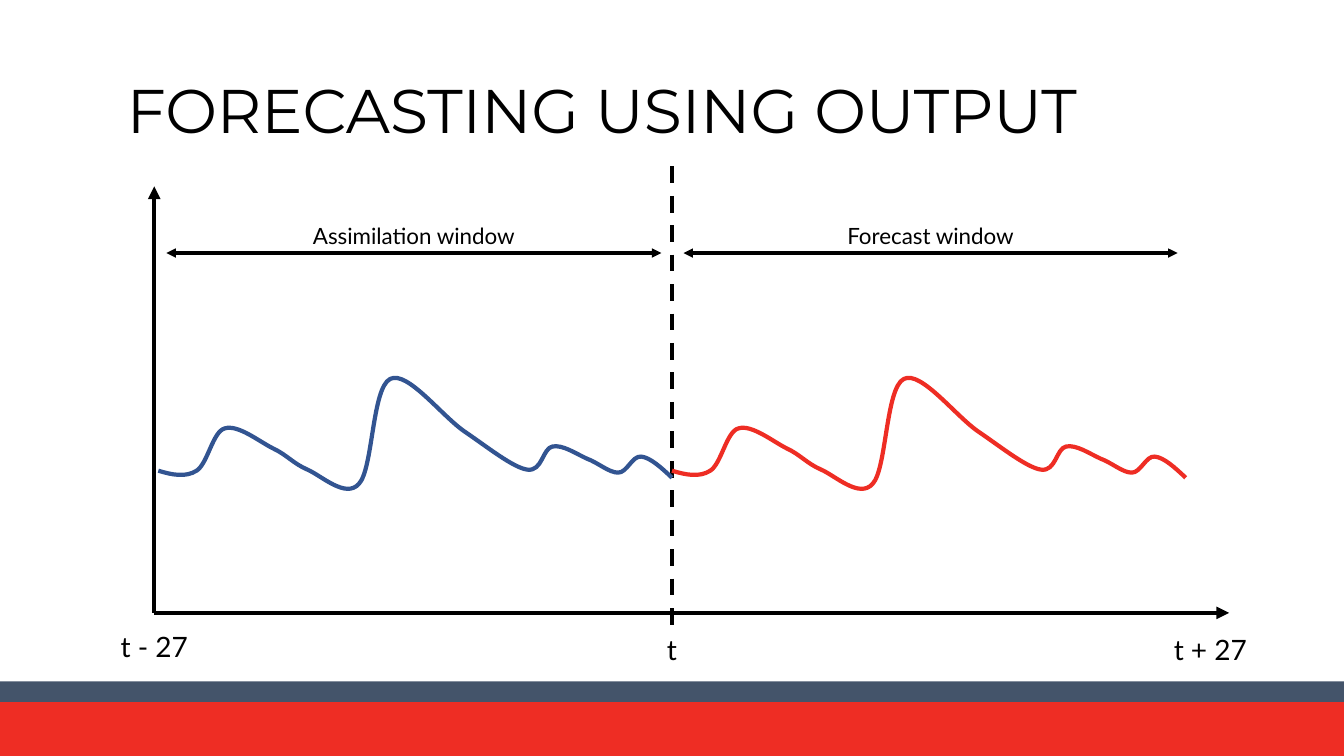
import pptx
import pptx.dml.color
import pptx.enum.dml
import pptx.enum.shapes
import pptx.enum.text
import pptx.oxml.ns
import pptx.oxml.xmlchemy
import pptx.util

RGBColor = pptx.dml.color.RGBColor
BLACK = RGBColor(0x00, 0x00, 0x00)
SLATE = RGBColor(0x44, 0x54, 0x6A)
RED = RGBColor(0xEE, 0x2D, 0x24)
BLUE = RGBColor(0x32, 0x54, 0x91)

WIDTH = pptx.util.Inches(13.33)
HEIGHT = pptx.util.Inches(7.5)

# All positions are columns and rows of a 100 by 100 grid over the slide.
AXIS_COLUMN, AXIS_ROW = 11.48, 81.07
MIDDLE = 50
WINDOW_ROW = 33.47

# Each wave step: two control points and an end, columns counted from the wave's start.
WAVE_START = (0, 62.27)
WAVE_STEPS = [
    ((0.98, 62.8), (2.03, 63.2), (2.85, 62.27)),
    ((3.68, 61.33), (4.05, 57.07), (4.95, 56.67)),
    ((5.93, 56.13), (7.5, 58.4), (8.55, 59.33)),
    ((9.53, 60.13), (10.05, 61.33), (11.1, 62.13)),
    ((12.15, 62.93), (13.95, 66), (14.93, 64)),
    ((15.98, 62), (15.9, 51.33), (17.25, 50.13)),
    ((18.53, 48.93), (21.16, 55.2), (22.88, 57.2)),
    ((24.53, 59.2), (26.41, 61.87), (27.46, 62.13)),
    ((28.58, 62.4), (28.58, 59.33), (29.33, 59.07)),
    ((30.08, 58.8), (31.06, 60), (31.88, 60.67)),
    ((32.71, 61.2), (33.53, 62.53), (34.21, 62.53)),
    ((34.88, 62.53), (35.26, 60.27), (35.93, 60.4)),
    ((36.61, 60.53), (37.43, 61.87), (38.22, 63.2)),
]


def column(number):
    return round(WIDTH * number / 100)


def row(number):
    return round(HEIGHT * number / 100)


def add_text(page, text, left, top, width, height, size, font="Lato",
             align=pptx.enum.text.PP_ALIGN.CENTER,
             anchor=pptx.enum.text.MSO_ANCHOR.TOP, spacing=None):
    box = page.shapes.add_textbox(column(left), row(top), column(width), row(height))
    box.text_frame.word_wrap = True
    box.text_frame.vertical_anchor = anchor
    para = box.text_frame.paragraphs[0]
    para.alignment = align
    para.line_spacing = spacing
    span = para.add_run()
    span.text = text
    span.font.name = font
    span.font.size = pptx.util.Pt(size)
    span.font.color.rgb = BLACK


def add_label(page, text, center, top, width, height, size):
    add_text(page, text, center - width / 2, top, width, height, size)


def add_band(page, top, color):
    """Fill the slide's full width from a row down to its foot."""
    band = page.shapes.add_shape(pptx.enum.shapes.MSO_SHAPE.RECTANGLE,
                                 0, row(top), WIDTH, HEIGHT - row(top))
    band.shadow.inherit = False
    band.fill.solid()
    band.fill.fore_color.rgb = color
    band.line.fill.background()


def add_line(page, start, end, weight, arrows=(), dashed=False):
    """Draw a straight line; arrows names its pointed ends, in the order headEnd, tailEnd."""
    line = page.shapes.add_connector(pptx.enum.shapes.MSO_CONNECTOR.STRAIGHT,
                                     column(start[0]), row(start[1]),
                                     column(end[0]), row(end[1]))
    line.line.color.rgb = BLACK
    line.line.width = pptx.util.Pt(weight)
    if dashed:
        line.line.dash_style = pptx.enum.dml.MSO_LINE.DASH
    properties = line._element.spPr
    for arrow in arrows:
        head = pptx.oxml.xmlchemy.OxmlElement(f"a:{arrow}")
        head.set("type", "triangle")
        properties.get_or_add_ln().append(head)
    properties.append(pptx.oxml.xmlchemy.OxmlElement("a:effectLst"))


def add_wave(page, left, color):
    def place(point):
        return column(left + point[0]), row(point[1])

    builder = page.shapes.build_freeform(*place(WAVE_START))
    builder.add_line_segments([place(step[-1]) for step in WAVE_STEPS], close=False)
    wave = builder.convert_to_shape()
    segments = list(wave._element.iter(pptx.oxml.ns.qn("a:lnTo")))
    for segment, step in zip(segments, WAVE_STEPS):
        curve = pptx.oxml.xmlchemy.OxmlElement("a:cubicBezTo")
        for x, y in map(place, step):
            point = pptx.oxml.xmlchemy.OxmlElement("a:pt")
            point.set("x", str(x - wave.left))
            point.set("y", str(y - wave.top))
            curve.append(point)
        segment.getparent().replace(segment, curve)
    wave.shadow.inherit = False
    wave.fill.background()
    wave.line.color.rgb = color
    wave.line.width = pptx.util.Pt(3)


def add_window(page, name, start, end):
    add_line(page, (start, WINDOW_ROW), (end, WINDOW_ROW), 2.25, ("headEnd", "tailEnd"))
    add_label(page, name, (start + end) / 2, 28.67, 17.7, 4.93, 16)


def main():
    deck = pptx.Presentation()
    deck.slide_width, deck.slide_height = WIDTH, HEIGHT
    page = deck.slides.add_slide(deck.slide_layouts[6])

    add_text(page, "FORECASTING USING OUTPUT", 8.7, 5.33, 84.47, 19.33, 44,
             "Montserrat", pptx.enum.text.PP_ALIGN.LEFT,
             pptx.enum.text.MSO_ANCHOR.MIDDLE, 0.9)
    add_band(page, 90.13, SLATE)
    add_band(page, 92.87, RED)

    origin = (AXIS_COLUMN, AXIS_ROW)
    add_line(page, origin, (AXIS_COLUMN, 24.67), 3, ("tailEnd",))
    add_line(page, origin, (91.45, AXIS_ROW), 3, ("tailEnd",))
    add_line(page, (MIDDLE, 22), (MIDDLE, 83.47), 3, dashed=True)
    for text, center, top in (("t", MIDDLE, 83.07), ("t - 27", AXIS_COLUMN, 82.67),
                              ("t + 27", 90.06, 83.07)):
        add_label(page, text, center, top, 10.28, 5.87, 20)

    add_wave(page, MIDDLE - WAVE_STEPS[-1][-1][0], BLUE)
    add_wave(page, MIDDLE, RED)
    add_window(page, "Assimilation window", 12.38, 49.21)
    add_window(page, "Forecast window", 50.86, 87.62)
    deck.save("out.pptx")


if __name__ == "__main__":
    main()
